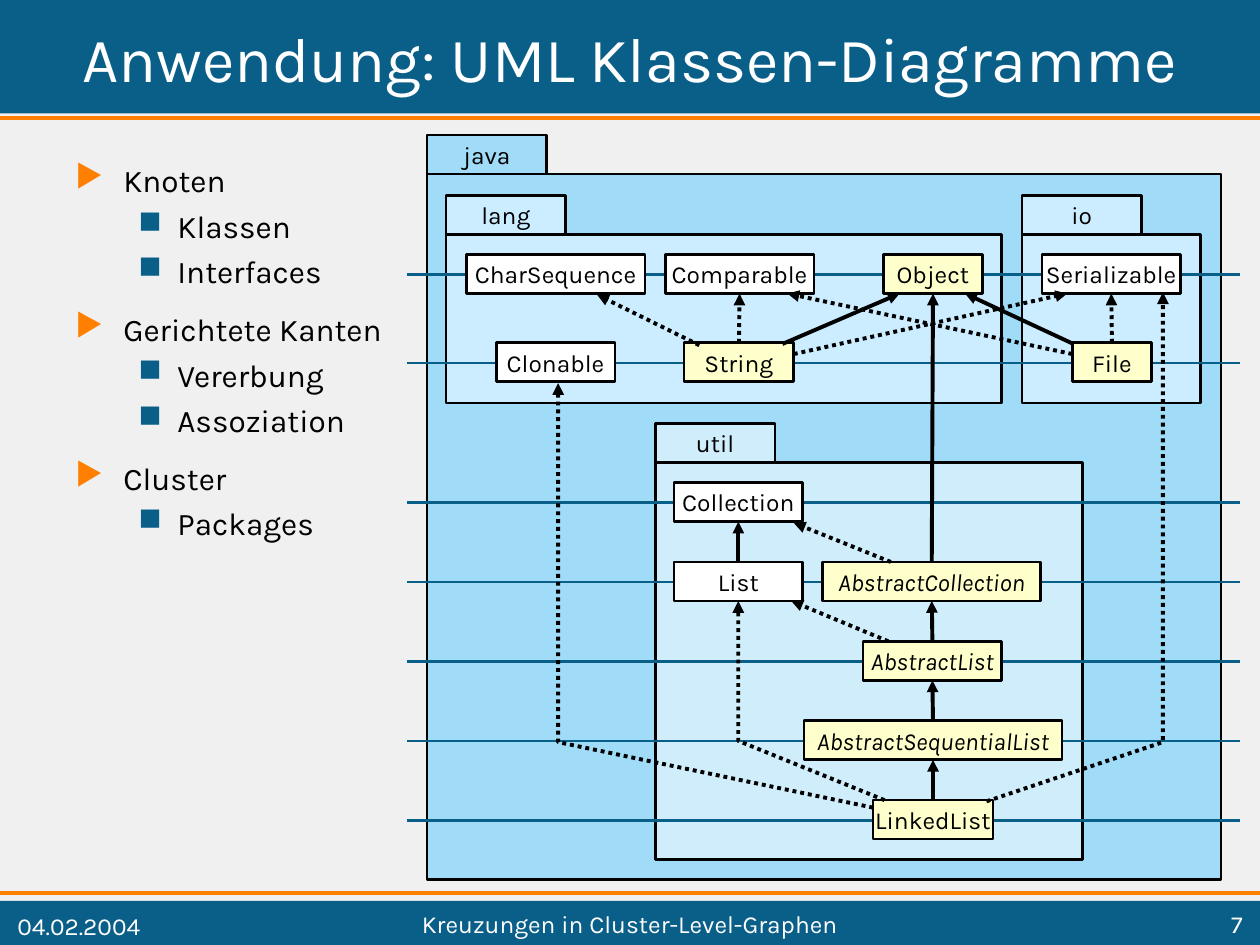
import pptx
import pptx.dml.color
import pptx.enum.dml
import pptx.enum.shapes
import pptx.enum.text
import pptx.oxml
import pptx.oxml.ns
import pptx.util
from pptx.util import Inches

FONT = "Karla"
BLUE, ORANGE, BLACK, WHITE = "0A5F89", "FF7F00", "000000", "FFFFFF"
CONCRETE, INTERFACE = "FFFFCC", "FFFFFF"
ALIGN = pptx.enum.text.PP_ALIGN
MIDDLE = pptx.enum.text.MSO_ANCHOR.MIDDLE
STRAIGHT = pptx.enum.shapes.MSO_CONNECTOR.STRAIGHT
TOP_SIDE, BOTTOM_SIDE = 0, 2

# Packages: name, left, top, width, height, fill (relative to the diagram)
PACKAGES = [
    ("java", 0.16, 0, 6.3, 5.91, "A0DBF8"),
    ("util", 1.97, 2.29, 3.39, 3.46, "D0EDFC"),
    ("io", 4.88, 0.48, 1.42, 1.65, "CCECFF"),
    ("lang", 0.31, 0.48, 4.41, 1.65, "CCECFF"),
]
LEVELS = [1.11, 1.81] + [2.92 + 0.63 * step for step in range(5)]

# Classes: name, level, left, width, fill
CLASSES = [
    ("CharSequence", 0, 0.47, 1.42, INTERFACE),
    ("Comparable", 0, 2.05, 1.18, INTERFACE),
    ("Object", 0, 3.78, 0.79, CONCRETE),
    ("Serializable", 0, 5.04, 1.1, INTERFACE),
    ("Clonable", 1, 0.71, 0.94, INTERFACE),
    ("String", 1, 2.2, 0.87, CONCRETE),
    ("File", 1, 5.28, 0.63, CONCRETE),
    ("Collection", 2, 2.12, 1.02, INTERFACE),
    ("List", 3, 2.12, 1.02, INTERFACE),
    ("AbstractCollection", 3, 3.3, 1.73, CONCRETE),
    ("AbstractList", 4, 3.62, 1.1, CONCRETE),
    ("AbstractSequentialList", 5, 3.15, 2.05, CONCRETE),
    ("LinkedList", 6, 3.7, 0.95, CONCRETE),
]

# Vertical edges: from, to, dotted
VERTICAL_EDGES = [
    ("List", "Collection", False),
    ("LinkedList", "AbstractSequentialList", False),
    ("AbstractSequentialList", "AbstractList", False),
    ("AbstractList", "AbstractCollection", False),
    ("AbstractCollection", "Object", False),
    ("String", "Comparable", True),
    ("File", "Serializable", True),
]

# Slanted edges: start, end, dotted
SLANTED_EDGES = [
    ((3.82, 4.02), (3.05, 3.7), True),
    ((3.84, 3.39), (3.07, 3.08), True),
    ((2.32, 1.67), (1.51, 1.27), True),
    ((2.98, 1.66), (3.91, 1.26), False),
    ((3.07, 1.74), (5.24, 1.26), True),
    ((5.29, 1.66), (4.43, 1.26), False),
    ((5.28, 1.74), (3.02, 1.26), True),
]

# Long edges that bend on a level
BENT_EDGES = [
    [(3.79, 5.28), (2.63, 4.81), (2.63, 3.7)],
    [(3.7, 5.34), (1.2, 4.82), (1.2, 1.97)],
    [(4.6, 5.29), (6, 4.82), (6, 1.25)],
]

TOPICS = [
    ("Knoten", ["Klassen", "Interfaces"]),
    ("Gerichtete Kanten", ["Vererbung", "Assoziation"]),
    ("Cluster", ["Packages"]),
]


def color(value):
    return pptx.dml.color.RGBColor.from_string(value)


def add_span(para, text, size, ink, italic=None):
    span = para.add_run()
    span.text = text
    span.font.name = FONT
    span.font.size = pptx.util.Pt(size)
    span.font.color.rgb = color(ink)
    span.font.italic = italic


def add_rect(page, left, top, width, height, fill, outlined=True):
    box = page.shapes.add_shape(
        pptx.enum.shapes.MSO_SHAPE.RECTANGLE,
        Inches(left), Inches(top), Inches(width), Inches(height))
    box.shadow.inherit = False
    box.fill.solid()
    box.fill.fore_color.rgb = color(fill)
    if outlined:
        box.line.color.rgb = color(BLACK)
        box.line.width = pptx.util.Pt(1.5)
    else:
        box.line.fill.background()
    return box


def label(box, text, italic=None):
    frame = box.text_frame
    frame.word_wrap = False
    frame.vertical_anchor = MIDDLE
    frame.paragraphs[0].alignment = ALIGN.CENTER
    add_span(frame.paragraphs[0], text, 14, BLACK, italic)


def add_line(page, start, end, ink, width):
    line = page.shapes.add_connector(
        STRAIGHT, *(Inches(value) for value in (*start, *end)))
    line.line.color.rgb = color(ink)
    line.line.width = pptx.util.Pt(width)
    line.element.spPr.append(pptx.oxml.ns.qn and pptx.oxml.parse_xml(
        f'<a:effectLst {pptx.oxml.ns.nsdecls("a")}/>'))
    return line


def style_edge(edge, dotted):
    edge.line.color.rgb = color(BLACK)
    edge.line.width = pptx.util.Pt(2.25)
    if dotted:
        edge.line.dash_style = pptx.enum.dml.MSO_LINE.ROUND_DOT
    edge.element.spPr.find(pptx.oxml.ns.qn("a:ln")).append(pptx.oxml.parse_xml(
        f'<a:tailEnd {pptx.oxml.ns.nsdecls("a")} type="triangle"/>'))


def add_header(page, left, top, width, height):
    add_rect(page, left, top, width, height, BLUE, outlined=False)
    rule = top + height + 0.04
    add_line(page, (left, rule), (left + width, rule), ORANGE, 2.25)
    title = page.shapes.title
    title.left, title.top = Inches(left + 0.04), Inches(top + 0.04)
    title.width, title.height = Inches(width - 0.08), Inches(height - 0.07)
    title.text_frame.vertical_anchor = MIDDLE
    para = title.text_frame.paragraphs[0]
    para.alignment = ALIGN.CENTER
    add_span(para, "Anwendung: UML Klassen-Diagramme", 36, WHITE)
    # Bring the title in front of its bar
    title.element.getparent().append(title.element)


def add_footer(page, left, top, width, height):
    add_rect(page, left, top, width, height, BLUE, outlined=False)
    add_line(page, (left, top - 0.06), (left + width, top - 0.06), ORANGE, 2.25)
    for text, offset, span_width, span_height, align in [
            ("Kreuzungen in Cluster-Level-Graphen", 1.3, 7.4, 0.28, ALIGN.CENTER),
            ("7", 8.78, 1.18, 0.28, ALIGN.RIGHT),
            ("04.02.2004", 0.04, 1.58, 0.31, ALIGN.LEFT)]:
        box = page.shapes.add_textbox(Inches(left + offset), Inches(top + 0.04),
                                      Inches(span_width), Inches(span_height))
        box.text_frame.word_wrap = True
        box.text_frame.vertical_anchor = MIDDLE
        para = box.text_frame.paragraphs[0]
        para.alignment = align
        add_span(para, text, 14, WHITE)


def add_bullet(para, text, mark, ink, margin, hanging, space):
    properties = para._p.get_or_add_pPr()
    properties.set("marL", str(Inches(margin)))
    properties.set("indent", str(-Inches(hanging)))
    names = pptx.oxml.ns.nsdecls("a")
    properties.append(pptx.oxml.parse_xml(
        f'<a:buClr {names}><a:srgbClr val="{ink}"/></a:buClr>'))
    properties.append(pptx.oxml.parse_xml(f'<a:buChar {names} char="{mark}"/>'))
    para.space_before = pptx.util.Pt(space)
    add_span(para, text, 18, BLACK)


def add_topics(page, left, top, width, height):
    box = page.shapes.add_textbox(Inches(left), Inches(top), Inches(width), Inches(height))
    frame = box.text_frame
    frame.word_wrap = True
    for index, (topic, items) in enumerate(TOPICS):
        para = frame.add_paragraph() if index else frame.paragraphs[0]
        add_bullet(para, topic, "▶", ORANGE, 0.38, 0.38, 11.2 if index else 0)
        for item in items:
            para = frame.add_paragraph()
            para.level = 1
            add_bullet(para, item, "■", BLUE, 0.81, 0.31, 4.5)


def add_diagram(page, left, top, width):
    def place(point):
        return left + point[0], top + point[1]

    # Packages: body with a name tab on top
    tab_height = 0.31
    for name, x, y, package_width, package_height, fill in PACKAGES:
        x, y = place((x, y))
        add_rect(page, x, y + tab_height, package_width, package_height - tab_height, fill)
        label(add_rect(page, x, y, 0.95, tab_height, fill), name)

    # Level lines
    for level in LEVELS:
        add_line(page, place((0, level)), place((width, level)), BLUE, 1.5)

    # Classes, centred on their level
    boxes = {}
    for name, level, x, class_width, fill in CLASSES:
        x, y = place((x, LEVELS[level] - 0.16))
        boxes[name] = add_rect(page, x, y, class_width, 0.31, fill)
        label(boxes[name], name, name.startswith("Abstract") or None)

    # Edges
    for child, parent, dotted in VERTICAL_EDGES:
        edge = add_line(page, (0, 0), (0, 0), BLACK, 2.25)
        edge.begin_connect(boxes[child], TOP_SIDE)
        edge.end_connect(boxes[parent], BOTTOM_SIDE)
        style_edge(edge, dotted)
    for start, end, dotted in SLANTED_EDGES:
        style_edge(add_line(page, place(start), place(end), BLACK, 2.25), dotted)
    for points in BENT_EDGES:
        start, *rest = [tuple(Inches(value) for value in place(point)) for point in points]
        builder = page.shapes.build_freeform(*start)
        builder.add_line_segments(rest, close=False)
        edge = builder.convert_to_shape()
        edge.shadow.inherit = False
        edge.fill.background()
        style_edge(edge, dotted=True)


def main():
    deck = pptx.Presentation()
    deck.slide_width, deck.slide_height = Inches(10), Inches(7.5)
    page = deck.slides.add_slide(deck.slide_layouts.get_by_name("Title Only"))
    page.background.fill.solid()
    page.background.fill.fore_color.rgb = color("F0F0F0")
    add_header(page, 0, 0, 10, 0.9)
    add_footer(page, 0, 7.15, 10, 0.35)
    add_topics(page, 0.5, 1.23, 2.81, 5.67)
    add_diagram(page, 3.23, 1.07, 6.61)
    deck.save("out.pptx")


if __name__ == "__main__":
    main()
